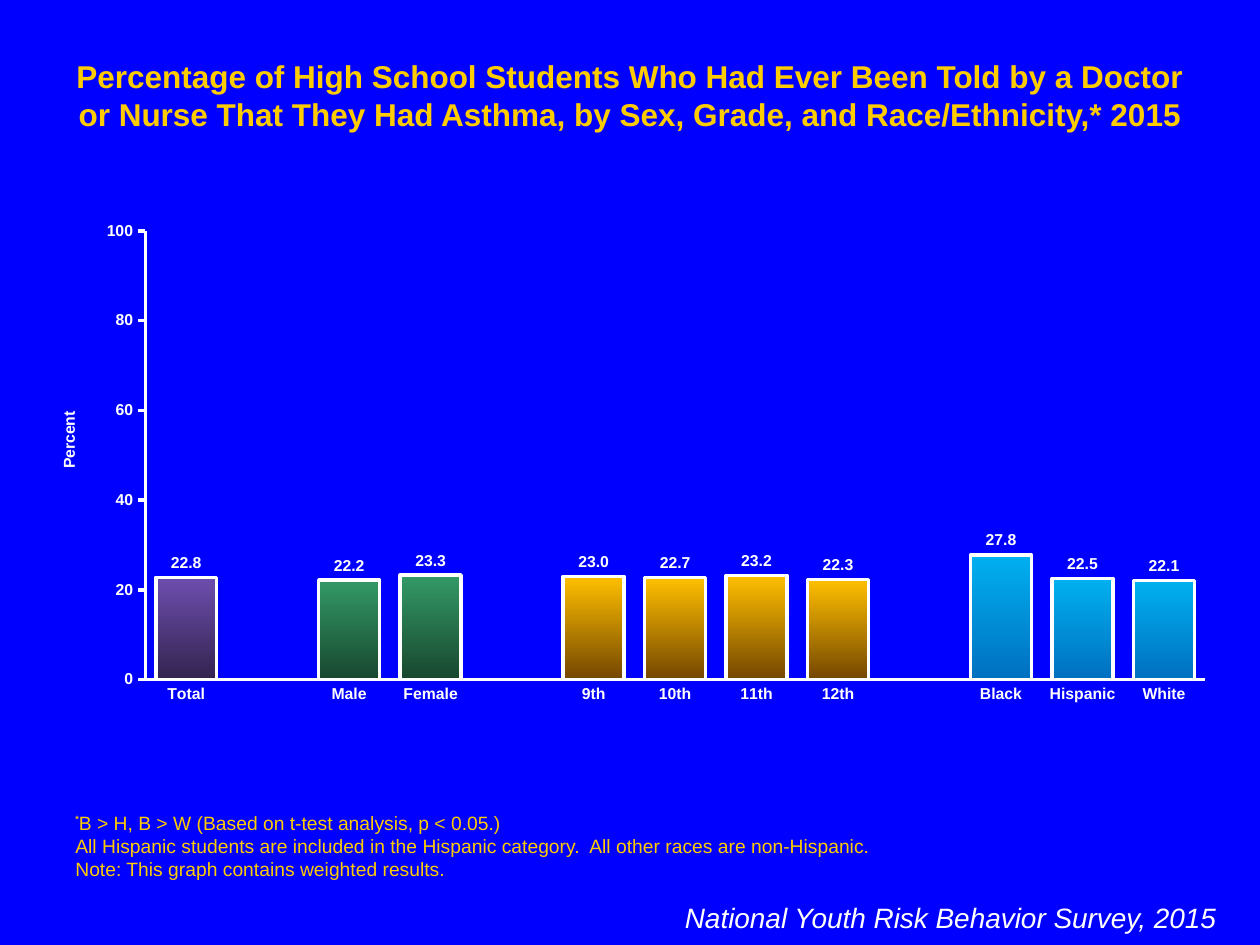
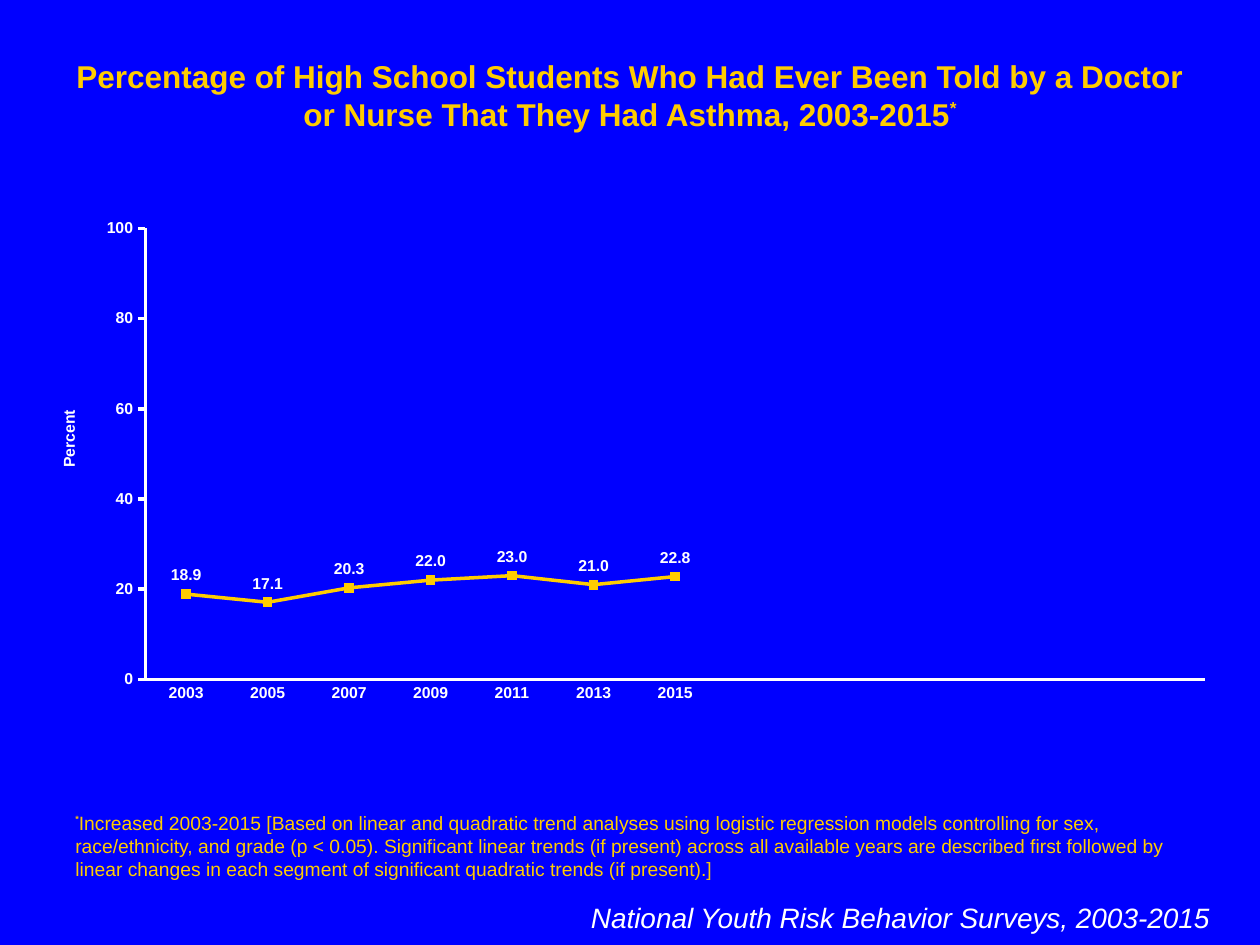
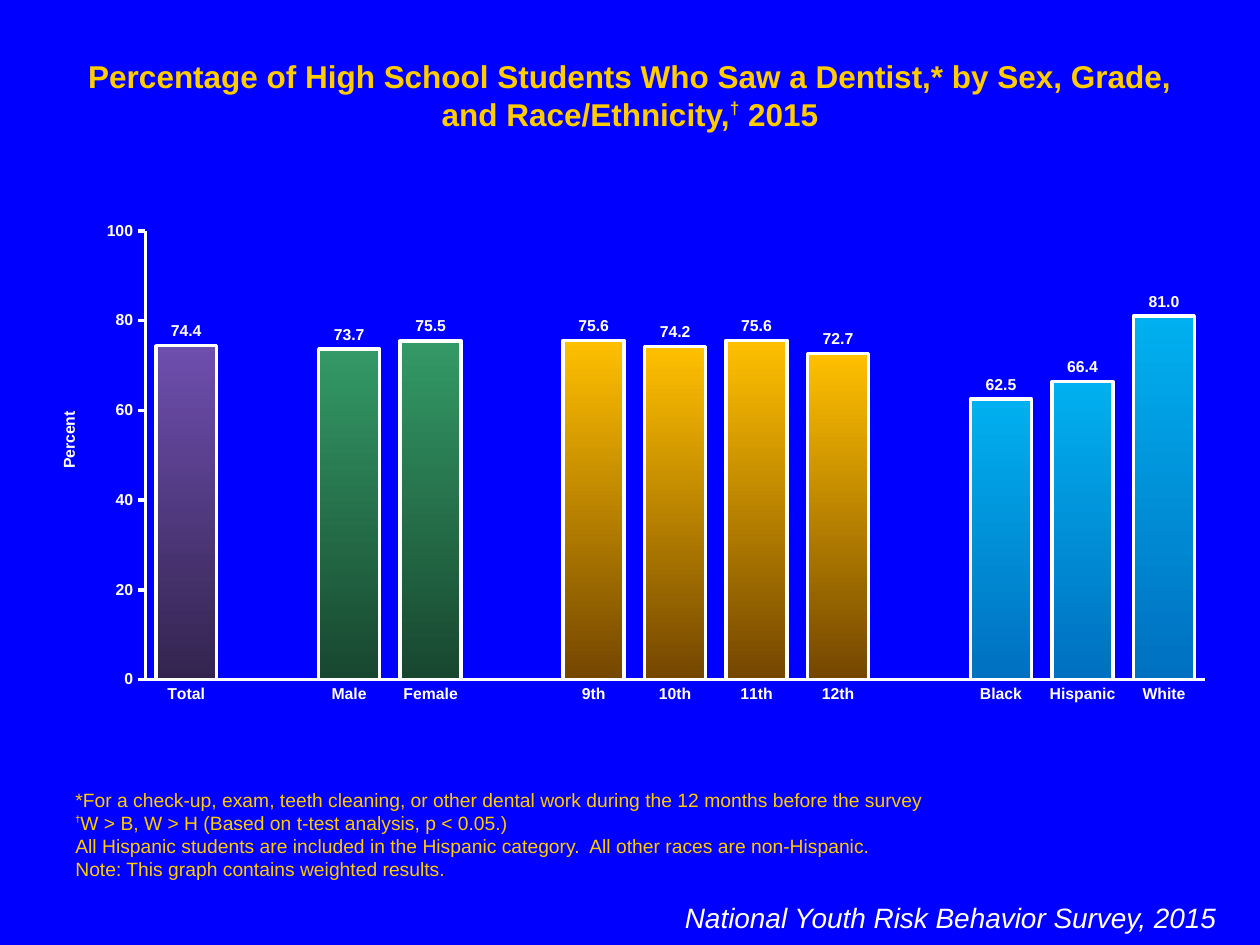
from dataclasses import dataclass

from pptx import Presentation
from pptx.chart.data import CategoryChartData
from pptx.dml.color import RGBColor
from pptx.enum.chart import XL_CHART_TYPE, XL_LABEL_POSITION, XL_MARKER_STYLE, XL_TICK_MARK
from pptx.enum.text import MSO_ANCHOR, MSO_AUTO_SIZE, PP_ALIGN
from pptx.oxml import parse_xml
from pptx.oxml.ns import nsdecls
from pptx.util import Cm, Pt


@dataclass(frozen=True)
class Theme:
    face: str = "Arial"
    back: str = "0000FF"
    gold: str = "FFCC00"
    white: str = "FFFFFF"
    violet: tuple = ("6E4EAE", "33244F")
    green: tuple = ("339966", "18472F")
    amber: tuple = ("FFC000", "744600")
    sky: tuple = ("00B0F0", "0070C0")
    head: int = 18
    note: int = 11
    source: int = 16
    label: int = 9
    line: int = 2


@dataclass(frozen=True)
class Box:
    left: float
    top: float
    width: float
    height: float

    def lengths(self):
        return [Cm(n) for n in (self.left, self.top, self.width, self.height)]


THEME = Theme()
HEAD = Box(1.27, 1.02, 22.86, 1.78)
NOTE = Box(1.27, 15.34, 22.86, 2.54)
SOURCE = Box(10.8, 18.03, 13.97, 0.94)
TREND_SOURCE = Box(11.51, 18.03, 13.13, 0.94)
BARS = Box(0.64, 4.29, 24.13, 10.11)
TREND = Box(0.64, 4.24, 24.13, 10.16)

GROUPS = [
    (THEME.violet, ["Total"]),
    (THEME.green, ["Male", "Female"]),
    (THEME.amber, ["9th", "10th", "11th", "12th"]),
    (THEME.sky, ["Black", "Hispanic", "White"]),
]
YEARS = ["2003", "2005", "2007", "2009", "2011", "2013", "2015"]
SLOTS = 13
RACES = "All Hispanic students are included in the Hispanic category.  All other races are non-Hispanic."
WEIGHTS = "Note: This graph contains weighted results."
SURVEY = "National Youth Risk Behavior Survey, 2015"


def paint(font, size, color, bold=False, slant=False):
    font.name = THEME.face
    font.size = Pt(size)
    font.bold = bold
    font.italic = slant
    font.color.rgb = RGBColor.from_string(color)


def write(para, text, raised=None):
    for place, piece in enumerate(text.split("^")):
        if piece:
            run = para.add_run()
            run.text = piece
            if place % 2:
                size, shift = raised
                run.font.size = Pt(size)
                run.font.bold = True
                run._r.get_or_add_rPr().set("baseline", str(shift * 1000))


def add_head(slide, box, text):
    shape = slide.shapes.title
    shape.left, shape.top, shape.width, shape.height = box.lengths()
    frame = shape.text_frame
    frame.auto_size = MSO_AUTO_SIZE.NONE
    frame.vertical_anchor = MSO_ANCHOR.TOP
    para = frame.paragraphs[0]
    para.alignment = PP_ALIGN.CENTER
    paint(para.font, THEME.head, THEME.gold, bold=True)
    write(para, text, (17, 40))


def add_note(slide, box, lines):
    frame = slide.shapes.add_textbox(*box.lengths()).text_frame
    frame.word_wrap = True
    frame.vertical_anchor = MSO_ANCHOR.BOTTOM
    for place, line in enumerate(lines):
        para = frame.add_paragraph() if place else frame.paragraphs[0]
        paint(para.font, THEME.note, THEME.gold)
        write(para, line, (9, 50))


def add_source(slide, box, text):
    frame = slide.shapes.add_textbox(*box.lengths()).text_frame
    frame.word_wrap = True
    para = frame.paragraphs[0]
    para.alignment = PP_ALIGN.RIGHT
    paint(para.font, THEME.source, THEME.white, slant=True)
    write(para, text)


def layout_xml(left, top, size=None):
    parts = {"xMode": "edge", "yMode": "edge", "x": left, "y": top}
    if size:
        parts = {"layoutTarget": "inner", **parts, "w": size[0], "h": size[1]}
    body = "".join(f'<c:{tag} val="{val}"/>' for tag, val in parts.items())
    return parse_xml(f'<c:layout {nsdecls("c")}><c:manualLayout>{body}</c:manualLayout></c:layout>')


def set_layout(owner, layout, index):
    for old in owner.findall(layout.tag):
        owner.remove(old)
    owner.insert(index, layout)


def draw_line(line, color):
    line.color.rgb = RGBColor.from_string(color)
    line.width = Pt(THEME.line)


def style_axes(chart):
    for axis in (chart.category_axis, chart.value_axis):
        axis.has_major_gridlines = False
        axis.minor_tick_mark = XL_TICK_MARK.NONE
        draw_line(axis.format.line, THEME.white)
        paint(axis.tick_labels.font, THEME.label, THEME.white, bold=True)
    chart.category_axis.major_tick_mark = XL_TICK_MARK.NONE
    scale = chart.value_axis
    scale.major_tick_mark = XL_TICK_MARK.OUTSIDE
    scale.minimum_scale, scale.maximum_scale, scale.major_unit = 0, 100, 20
    scale.tick_labels.number_format = "#,##0"
    scale.tick_labels.number_format_is_linked = False
    para = scale.axis_title.text_frame.paragraphs[0]
    paint(para.font, THEME.label, THEME.white, bold=True)
    write(para, "Percent")
    set_layout(scale.axis_title._element, layout_xml(0.02, 0.39), 1)


def add_graph(slide, box, kind, names, values, spot):
    data = CategoryChartData(number_format="#,##0.0")
    data.categories = names
    data.add_series("Series 1", values)
    chart = slide.shapes.add_chart(kind, *box.lengths(), data).chart
    chart.has_legend = False
    chart.has_title = False
    paint(chart.font, THEME.label, THEME.white, bold=True)
    style_axes(chart)
    area = chart._chartSpace.chart.plotArea
    set_layout(area, layout_xml(0.095, 0.036, (0.885, 0.895)), 0)
    plot = chart.plots[0]
    plot.vary_by_categories = False
    series = plot.series[0]
    labels = series.data_labels
    labels.show_value = True
    labels.position = spot
    labels.number_format = "#,##0.0"
    labels.number_format_is_linked = False
    paint(labels.font, THEME.label, THEME.white, bold=True)
    return plot, series


def shade(point, tones):
    fill = point.format.fill
    fill.gradient()
    fill.gradient_angle = 270
    for stop, tone in zip(fill.gradient_stops, tones):
        stop.color.rgb = RGBColor.from_string(tone)
    draw_line(point.format.line, THEME.white)


def add_bars(slide, box, groups):
    names, values, tones = [], [], []
    for (pair, labels), numbers in zip(GROUPS, groups):
        if names:
            names.append("")
            values.append(None)
            tones.append(None)
        names += labels
        values += numbers
        tones += [pair] * len(labels)
    plot, series = add_graph(slide, box, XL_CHART_TYPE.COLUMN_CLUSTERED, names, values,
                             XL_LABEL_POSITION.OUTSIDE_END)
    plot.gap_width = 34
    plot.overlap = 100
    series.invert_if_negative = False
    for place, pair in enumerate(tones):
        if pair:
            shade(series.points[place], pair)


def add_trend(slide, box, values):
    spare = SLOTS - len(YEARS)
    plot, series = add_graph(slide, box, XL_CHART_TYPE.LINE_MARKERS, YEARS + [""] * spare,
                             values + [None] * spare, XL_LABEL_POSITION.ABOVE)
    series.smooth = False
    draw_line(series.format.line, THEME.gold)
    marker = series.marker
    marker.style = XL_MARKER_STYLE.SQUARE
    marker.size = 5
    marker.format.fill.solid()
    marker.format.fill.fore_color.rgb = RGBColor.from_string(THEME.gold)
    marker.format.line.color.rgb = RGBColor.from_string(THEME.gold)


def add_page(deck, head, notes, box, source):
    slide = deck.slides.add_slide(deck.slide_layouts[5])
    add_head(slide, HEAD, head)
    add_note(slide, NOTE, notes)
    add_source(slide, box, source)
    return slide


def bar_page(deck, head, notes, groups):
    slide = add_page(deck, head, notes + [RACES, WEIGHTS], SOURCE, SURVEY)
    add_bars(slide, BARS, groups)


def trend_page(deck, head, notes, values):
    slide = add_page(deck, head, notes, TREND_SOURCE, "National Youth Risk Behavior Surveys, 2003-2015")
    add_trend(slide, TREND, values)


def main():
    deck = Presentation()
    deck.slide_width, deck.slide_height = Cm(25.4), Cm(19.05)
    fill = deck.slide_master.background.fill
    fill.solid()
    fill.fore_color.rgb = RGBColor.from_string(THEME.back)
    asthma = "Percentage of High School Students Who Had Ever Been Told by a Doctor or Nurse That They Had Asthma, "
    bar_page(
        deck,
        asthma + "by Sex, Grade, and Race/Ethnicity,* 2015",
        ["^*^B > H, B > W (Based on t-test analysis, p < 0.05.)"],
        [[22.8], [22.2, 23.3], [23.0, 22.7, 23.2, 22.3], [27.8, 22.5, 22.1]],
    )
    trend_page(
        deck,
        asthma + "2003-2015^*^",
        ["^*^Increased 2003-2015 [Based on linear and quadratic trend analyses using logistic regression "
         "models controlling for sex, race/ethnicity, and grade (p < 0.05). Significant linear trends "
         "(if present) across all available years are described first followed by linear changes in each "
         "segment of significant quadratic trends (if present).]"],
        [18.9, 17.1, 20.3, 22.0, 23.0, 21.0, 22.8],
    )
    bar_page(
        deck,
        "Percentage of High School Students Who Saw a Dentist,* by Sex, Grade, and Race/Ethnicity,^†^ 2015",
        ["*For a check-up, exam, teeth cleaning, or other dental work during the 12 months before the survey",
         "^†^W > B, W > H (Based on t-test analysis, p < 0.05.)"],
        [[74.4], [73.7, 75.5], [75.6, 74.2, 75.6, 72.7], [62.5, 66.4, 81.0]],
    )
    deck.save("out.pptx")


if __name__ == "__main__":
    main()
